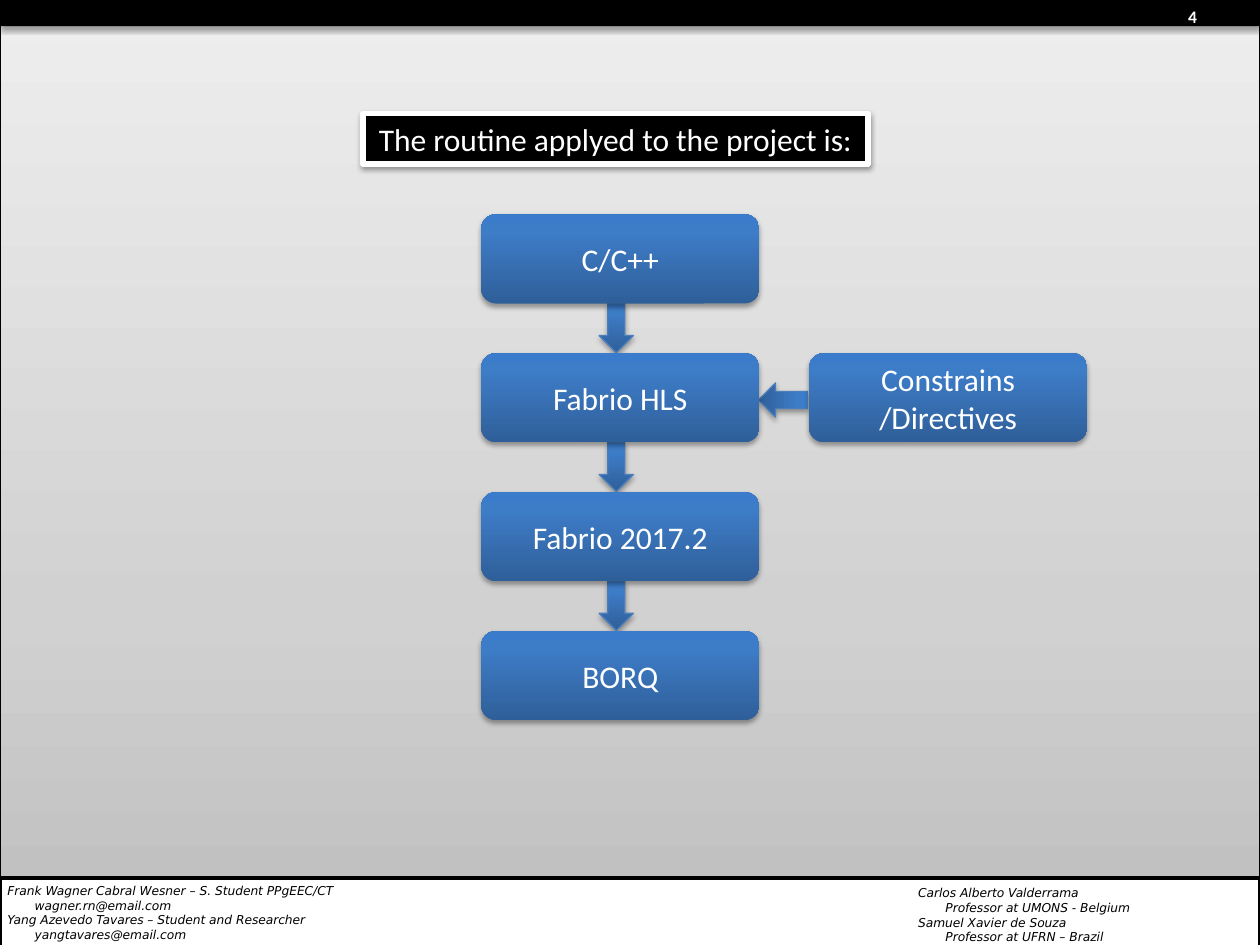
from lxml import etree
from pptx import Presentation
from pptx import util as u
from pptx.dml.color import RGBColor
from pptx.enum import shapes, text
from pptx.oxml import ns

COLORS = {
    "black": "000000", "white": "FFFFFF", "arrow line": "4B7EBC",
    "grey stops": [(0, "BDBDBD"), (35, "D1D1D1"), (100, "EEEEEE")],
    "blue stops": [(0, "2F5F99"), (80, "3D7CC7"), (100, "3A7CCB")],
}
KIND = shapes.MSO_SHAPE

presentation = Presentation()
presentation.slide_width, presentation.slide_height = u.Cm(25.4), u.Cm(19.05)
slide = presentation.slides.add_slide(presentation.slide_layouts[6])


def add_block(kind, box, fill, line=None, line_width=0.75, shadow=None):
    """Add a shape; fill is a hex colour or gradient stops running upwards, shadow is (opacity %, distance pt)."""
    shape = slide.shapes.add_shape(kind, *map(u.Cm, box))
    if isinstance(fill, str):
        shape.fill.solid()
        shape.fill.fore_color.rgb = RGBColor.from_string(fill)
    else:
        shape.fill.gradient()
        shape.fill.gradient_angle = 90
        stop_list = shape.element.spPr.find(".//" + ns.qn("a:gsLst"))
        for stop in list(stop_list):
            stop_list.remove(stop)
        for position, color in fill:
            stop = etree.SubElement(stop_list, ns.qn("a:gs"), pos=str(position * 1000))
            etree.SubElement(stop, ns.qn("a:srgbClr"), val=color)
    if line:
        shape.line.color.rgb = RGBColor.from_string(line)
        shape.line.width = u.Pt(line_width)
    else:
        shape.line.fill.background()
    shape.shadow.inherit = False
    if shadow:
        opacity, distance = shadow
        effects = shape.element.spPr.find(ns.qn("a:effectLst"))
        outer = etree.SubElement(effects, ns.qn("a:outerShdw"), blurRad=str(u.Pt(3.1)),
                                 dist=str(u.Pt(distance)), dir="5400000", rotWithShape="0")
        color = etree.SubElement(outer, ns.qn("a:srgbClr"), val=COLORS["black"])
        etree.SubElement(color, ns.qn("a:alpha"), val=str(opacity * 1000))
    return shape


def add_run(paragraph, words, size, color, font="Calibri", bold=False, italic=False):
    run = paragraph.add_run()
    run.text = words
    run.font.size, run.font.name = u.Pt(size), font
    run.font.bold, run.font.italic = bold, italic
    run.font.color.rgb = RGBColor.from_string(COLORS[color])


# Background, footer band and top bar
SOFT, STRONG = (38, 1.6), (35, 1.8)
add_block(KIND.RECTANGLE, (0, 0, 25.4, 19.05), COLORS["grey stops"], COLORS["black"], shadow=SOFT)
add_block(KIND.RECTANGLE, (0, 17.7, 25.4, 1.4), COLORS["white"], COLORS["black"], 2)
add_block(KIND.RECTANGLE, (0, 0, 25.4, 0.53), COLORS["black"], shadow=STRONG)

# Footer credits: each name is followed by an indented detail
credits = [
    ((-0.1, 17.68, 7.47, 1.45), [
        ("Frank Wagner Cabral Wesner – S. Student PPgEEC/CT", "wagner.rn@email.com"),
        ("Yang Azevedo Tavares – Student and Researcher", "yangtavares@email.com")]),
    ((18.26, 17.73, 5.26, 1.45), [
        ("Carlos Alberto Valderrama", "Professor at UMONS - Belgium"),
        ("Samuel Xavier de Souza", "Professor at UFRN – Brazil")]),
]
for box, people in credits:
    frame = slide.shapes.add_textbox(*map(u.Cm, box)).text_frame
    frame.word_wrap = True
    lines = [line for person in people for line in person]
    for index, line in enumerate(lines):
        paragraph = frame.paragraphs[0] if index == 0 else frame.add_paragraph()
        if index % 2:
            paragraph._p.get_or_add_pPr().set("marL", str(u.Cm(0.55)))
        add_run(paragraph, line, 7, "black", "DejaVu Sans", italic=True)

# Slide number
frame = slide.shapes.add_textbox(u.Cm(23.7), 0, u.Cm(1.5), u.Cm(0.74)).text_frame
frame.word_wrap = True
add_run(frame.paragraphs[0], "4", 10, "white", bold=True)

# Title
title = add_block(KIND.RECTANGLE, (7.32, 2.29, 10.18, 1.02), COLORS["black"],
                  COLORS["white"], 3, SOFT)
title.text_frame.word_wrap = False
title.text_frame.paragraphs[0].alignment = text.PP_ALIGN.CENTER
add_run(title.text_frame.paragraphs[0], "The routine applyed to the project is:", 18, "white")

# Flow: arrows lie behind the steps
STEP_LEFT, STEP_TOP, STEP_WIDTH, STEP_HEIGHT, PITCH = 9.7, 4.32, 5.61, 1.8, 2.8
ARROW_SIZE = (0.69, 0.99)
steps = ["C/C++", "Fabrio HLS", "Fabrio 2017.2", "BORQ"]
step_tops = [STEP_TOP + PITCH * row for row in range(len(steps))]

arrow_places = [(12.08, top + STEP_HEIGHT, 0) for top in step_tops[:-1]]
arrow_places.append((15.44, 7.57, 90))
for left, top, rotation in arrow_places:
    arrow = add_block(KIND.DOWN_ARROW, (left, top, *ARROW_SIZE), COLORS["blue stops"],
                      COLORS["arrow line"], shadow=STRONG)
    arrow.rotation = rotation

step_places = [(words, STEP_LEFT, top) for words, top in zip(steps, step_tops)]
step_places.append(("Constrains /Directives", 16.31, step_tops[1]))
for words, left, top in step_places:
    step = add_block(KIND.ROUNDED_RECTANGLE, (left, top, STEP_WIDTH, STEP_HEIGHT),
                     COLORS["blue stops"], shadow=STRONG)
    step.text_frame.word_wrap = True
    step.text_frame.vertical_anchor = text.MSO_ANCHOR.MIDDLE
    step.text_frame.paragraphs[0].alignment = text.PP_ALIGN.CENTER
    add_run(step.text_frame.paragraphs[0], words, 18, "white")

presentation.save("out.pptx")
